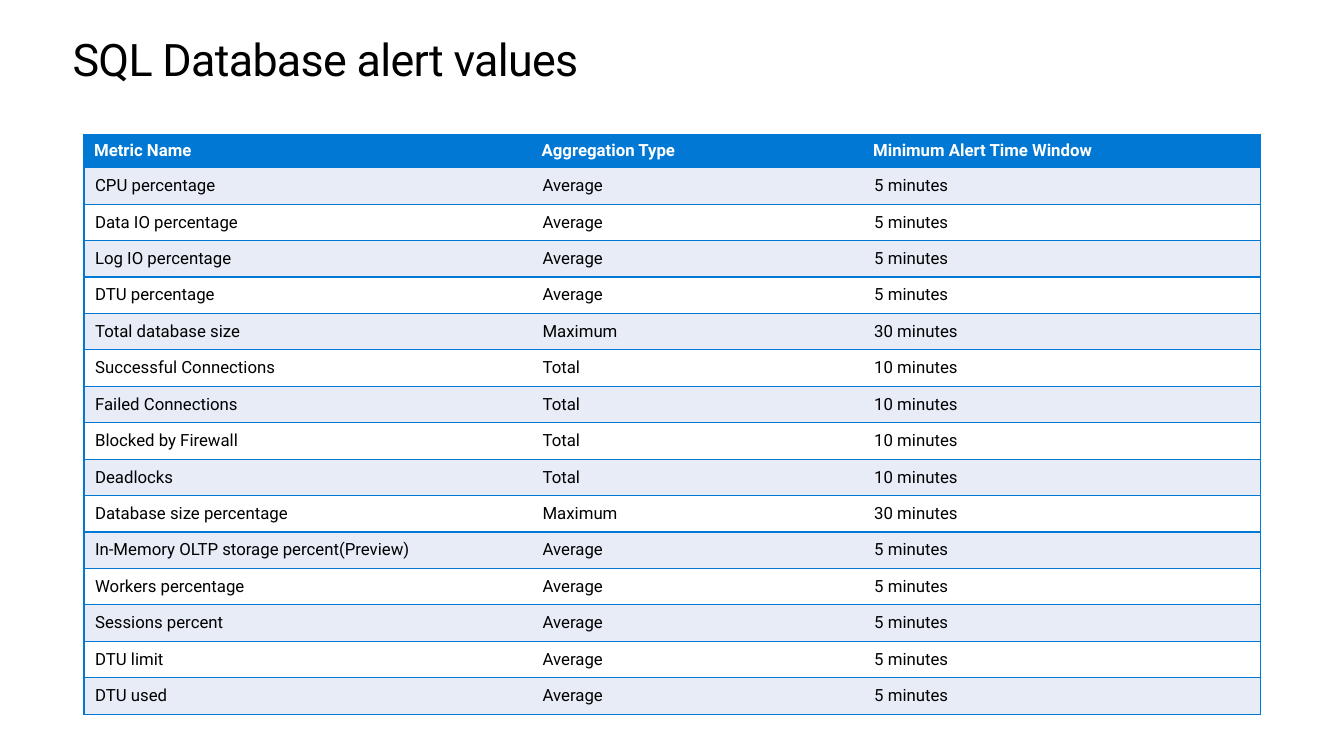
import dataclasses
import typing

import lxml.etree
import pptx
import pptx.dml.color
import pptx.enum.text
import pptx.oxml.ns
import pptx.slide
import pptx.table
import pptx.util

Pt = pptx.util.Pt
RGBColor = pptx.dml.color.RGBColor


@dataclasses.dataclass(frozen=True)
class Theme:
    font: str = "Roboto"
    title_size: float = 32
    table_size: float = 12
    ink: str = "000000"
    paper: str = "FFFFFF"
    accent: str = "0078D4"
    band: str = "E7ECF7"


@dataclasses.dataclass(frozen=True)
class RowStyle:
    height: float
    fill: str
    ink: str
    bold: bool
    side_inset: float
    end_inset: float


class Alert(typing.NamedTuple):
    metric: str
    aggregation: str
    window: str


THEME = Theme()
HEADER_STYLE = RowStyle(23.76, THEME.accent, THEME.paper, True, 7.2, 3.6)
BAND_STYLE = RowStyle(26.05, THEME.band, THEME.ink, False, 7.92, 5.76)
PLAIN_STYLE = dataclasses.replace(BAND_STYLE, fill=THEME.paper)

COLUMN_WIDTHS = (319.68, 236.88, 283.68)
HEADER = Alert("Metric Name", "Aggregation Type", "Minimum Alert Time Window")
ALERTS = (
    Alert("CPU percentage", "Average", "5 minutes"),
    Alert("Data IO percentage", "Average", "5 minutes"),
    Alert("Log IO percentage", "Average", "5 minutes"),
    Alert("DTU percentage", "Average", "5 minutes"),
    Alert("Total database size", "Maximum", "30 minutes"),
    Alert("Successful Connections", "Total", "10 minutes"),
    Alert("Failed Connections", "Total", "10 minutes"),
    Alert("Blocked by Firewall", "Total", "10 minutes"),
    Alert("Deadlocks", "Total", "10 minutes"),
    Alert("Database size percentage", "Maximum", "30 minutes"),
    Alert("In-Memory OLTP storage percent(Preview)", "Average", "5 minutes"),
    Alert("Workers percentage", "Average", "5 minutes"),
    Alert("Sessions percent", "Average", "5 minutes"),
    Alert("DTU limit", "Average", "5 minutes"),
    Alert("DTU used", "Average", "5 minutes"),
)


def add_title(slide: pptx.slide.Slide, text: str) -> None:
    box = slide.shapes.add_textbox(Pt(51.84), Pt(25.2), Pt(856.8), Pt(36.2))
    box.fill.solid()
    box.fill.fore_color.rgb = RGBColor.from_string(THEME.paper)
    frame = box.text_frame
    frame.word_wrap = True
    frame.auto_size = pptx.enum.text.MSO_AUTO_SIZE.SHAPE_TO_FIT_TEXT
    frame.margin_left = frame.margin_right = frame.margin_top = frame.margin_bottom = 0
    para = frame.paragraphs[0]
    para.line_spacing = Pt(36.2)
    para.font.name = THEME.font
    para.font.size = Pt(THEME.title_size)
    para.font.color.rgb = RGBColor.from_string(THEME.ink)
    span = para.add_run()
    span.text = text
    span.font._element.set("spc", "-50")


def set_borders(cell: pptx.table._Cell, visible: set[str]) -> None:
    """Rule the visible sides (L, R, T, B) and clear the others."""
    properties = cell._tc.get_or_add_tcPr()
    qn = pptx.oxml.ns.qn
    for position, side in enumerate("LRTB"):
        line = lxml.etree.Element(qn(f"a:ln{side}"), w=str(Pt(1)))
        if side in visible:
            fill = lxml.etree.SubElement(line, qn("a:solidFill"))
            lxml.etree.SubElement(fill, qn("a:srgbClr"), val=THEME.accent)
        else:
            lxml.etree.SubElement(line, qn("a:noFill"))
        properties.insert(position, line)


def fill_cell(cell: pptx.table._Cell, text: str, style: RowStyle) -> None:
    cell.fill.solid()
    cell.fill.fore_color.rgb = RGBColor.from_string(style.fill)
    cell.vertical_anchor = pptx.enum.text.MSO_ANCHOR.MIDDLE
    cell.margin_left = cell.margin_right = Pt(style.side_inset)
    cell.margin_top = cell.margin_bottom = Pt(style.end_inset)
    para = cell.text_frame.paragraphs[0]
    para.text = text
    para.font.name = THEME.font
    para.font.size = Pt(THEME.table_size)
    para.font.bold = style.bold
    para.font.color.rgb = RGBColor.from_string(style.ink)


def add_alert_table(slide: pptx.slide.Slide) -> None:
    rows = [(HEADER, HEADER_STYLE)]
    rows += [
        (alert, PLAIN_STYLE if index % 2 else BAND_STYLE)
        for index, alert in enumerate(ALERTS)
    ]
    table = slide.shapes.add_table(
        len(rows), len(COLUMN_WIDTHS), Pt(60), Pt(96),
        Pt(sum(COLUMN_WIDTHS)), Pt(sum(style.height for _, style in rows)),
    ).table
    table.horz_banding = False
    for column, width in zip(table.columns, COLUMN_WIDTHS):
        column.width = Pt(width)
    last_column = len(COLUMN_WIDTHS) - 1
    for row, (alert, style) in zip(table.rows, rows):
        row.height = Pt(style.height)
        for index, (cell, text) in enumerate(zip(row.cells, alert)):
            fill_cell(cell, text, style)
            outer_side = {0: {"L"}, last_column: {"R"}}.get(index, set())
            set_borders(cell, {"T", "B"} | outer_side)


def main() -> None:
    deck = pptx.Presentation()
    deck.slide_width, deck.slide_height = Pt(960), Pt(540)
    page = deck.slides.add_slide(deck.slide_layouts[6])
    add_title(page, "SQL Database alert values")
    add_alert_table(page)
    deck.save("out.pptx")


if __name__ == "__main__":
    main()
